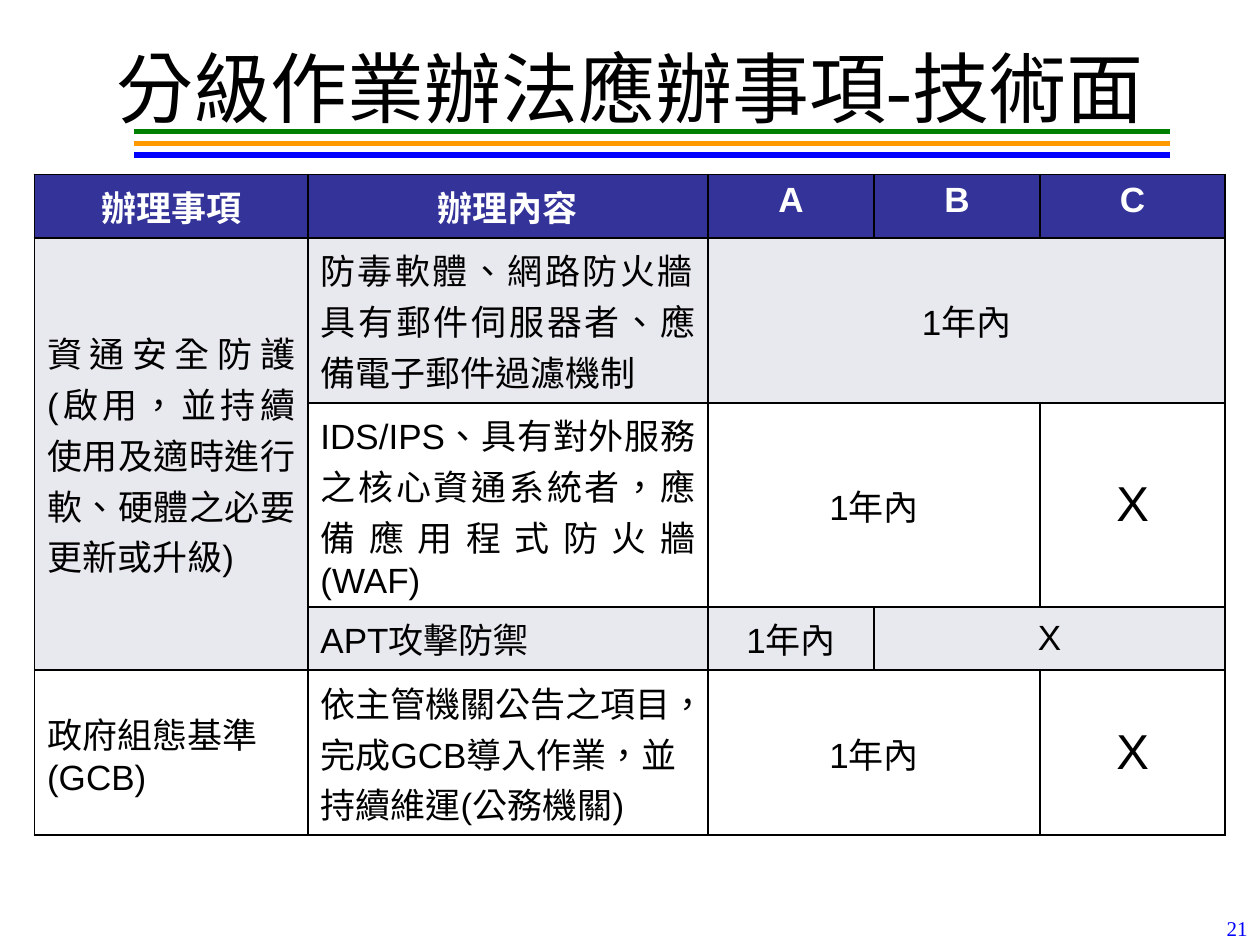
from lxml.etree import SubElement
from pptx import Presentation
from pptx.dml.color import RGBColor as RGB
from pptx.enum.lang import MSO_LANGUAGE_ID as LANG
from pptx.enum.shapes import MSO_CONNECTOR as CONN
from pptx.enum.text import MSO_ANCHOR as ANCHOR, PP_ALIGN as ALIGN
from pptx.oxml.ns import qn
from pptx.util import Pt

TITLE = "分級作業辦法應辦事項-技術面"
PAGE = "21"
HEADER = ["辦理事項", "辦理內容", "A", "B", "C"]
# Body cells: row, column, row span, column span, text
BODY = [
    (1, 0, 3, 1, "資通安全防護(啟用，並持續使用及適時進行軟、硬體之必要更新或升級)"),
    (1, 1, 1, 1, "防毒軟體、網路防火牆、具有郵件伺服器者、應備電子郵件過濾機制"),
    (1, 2, 1, 3, "1年內"),
    (2, 1, 1, 1, "IDS/IPS、具有對外服務之核心資通系統者，應備應用程式防火牆(WAF)"),
    (2, 2, 1, 2, "1年內"),
    (2, 4, 1, 1, "X"),
    (3, 1, 1, 1, "APT攻擊防禦"),
    (3, 2, 1, 1, "1年內"),
    (3, 3, 1, 2, "X"),
    (4, 0, 1, 1, "政府組態基準(GCB)"),
    (4, 1, 1, 1, "依主管機關公告之項目，完成GCB導入作業，並持續維運(公務機關)"),
    (4, 2, 1, 2, "1年內"),
    (4, 4, 1, 1, "X"),
]
JUSTIFIED = {(1, 0), (1, 1), (2, 1)}
TOP_ANCHORED = {(1, 1), (2, 1)}
COL_WIDTHS = [156.24, 228.7, 94.9, 94.9, 105.7]
ROW_HEIGHTS = [36.2, 94.3, 116.6, 36.2, 94.3]
THEME = {
    "serif": "Times New Roman", "sans": "Arial",
    "title": 44, "body": 20, "mark": 28, "page": 12,
    "text": "000000", "header_text": "FFFFFF", "header": "333399",
    "band": "E8E8EF", "plain": "FFFFFF", "border": "000000",
    "page_text": "0000FF", "rules": ["008000", "FF9900", "0000FF"],
}


def write(tf, text, size, font, color, align, bold=False):
    p = tf.paragraphs[0]
    p.alignment = align
    r = p.add_run()
    r.text = text
    f = r.font
    f.size, f.name, f.bold = Pt(size), font, bold
    f.color.rgb = RGB.from_string(color)
    f.language_id = LANG.TRADITIONAL_CHINESE


def add_text(s, box, text, size, color, align, anchor):
    tf = s.shapes.add_textbox(*map(Pt, box)).text_frame
    tf.word_wrap, tf.vertical_anchor = True, anchor
    write(tf, text, size, THEME["serif"], color, align)


def add_rules(s):
    for i, color in enumerate(THEME["rules"]):
        y = Pt(75.1 + 6.75 * i)
        line = s.shapes.add_connector(CONN.STRAIGHT, Pt(76.5), y, Pt(668.8), y)
        line.line.color.rgb = RGB.from_string(color)
        line.line.width = Pt(3)
        SubElement(line._element.spPr, qn("a:effectLst"))


def style_cell(cell, fill):
    tcPr = cell._tc.get_or_add_tcPr()
    for side in ("lnL", "lnR", "lnT", "lnB"):
        ln = SubElement(tcPr, qn(f"a:{side}"), w=str(Pt(1)))
        SubElement(SubElement(ln, qn("a:solidFill")), qn("a:srgbClr"), val=THEME["border"])
    cell.fill.solid()
    cell.fill.fore_color.rgb = RGB.from_string(fill)


def body_align(row, col):
    if (row, col) in JUSTIFIED:
        return ALIGN.JUSTIFY
    return ALIGN.LEFT if col < 2 else ALIGN.CENTER


def add_matrix(s):
    table = s.shapes.add_table(len(ROW_HEIGHTS), len(COL_WIDTHS), Pt(19.7), Pt(99.7),
                               Pt(sum(COL_WIDTHS)), Pt(sum(ROW_HEIGHTS))).table
    for column, width in zip(table.columns, COL_WIDTHS):
        column.width = Pt(width)
    for row, height in enumerate(ROW_HEIGHTS):
        table.rows[row].height = Pt(height)
        fill = THEME["header"] if row == 0 else THEME["band" if row % 2 else "plain"]
        for col in range(len(COL_WIDTHS)):
            style_cell(table.cell(row, col), fill)
    for col, text in enumerate(HEADER):
        write(table.cell(0, col).text_frame, text, THEME["body"], THEME["sans"],
              THEME["header_text"], ALIGN.CENTER, True)
    for row, col, height, width, text in BODY:
        cell = table.cell(row, col)
        if height * width > 1:
            cell.merge(table.cell(row + height - 1, col + width - 1))
        cell.vertical_anchor = ANCHOR.TOP if (row, col) in TOP_ANCHORED else ANCHOR.MIDDLE
        size = THEME["mark" if text == "X" and width == 1 else "body"]
        write(cell.text_frame, text, size, THEME["sans"], THEME["text"], body_align(row, col))


def main():
    """Build the slide of technical security duties by agency level."""
    prs = Presentation()
    prs.slide_width, prs.slide_height = Pt(720), Pt(540)
    s = prs.slides.add_slide(prs.slide_layouts[6])
    add_rules(s)
    add_text(s, (36, 21.6, 648, 55.4), TITLE, THEME["title"], THEME["text"],
             ALIGN.CENTER, ANCHOR.MIDDLE)
    add_matrix(s)
    add_text(s, (552, 519.6, 168, 17.3), PAGE, THEME["page"], THEME["page_text"],
             ALIGN.RIGHT, ANCHOR.TOP)
    prs.save("out.pptx")


if __name__ == "__main__":
    main()
